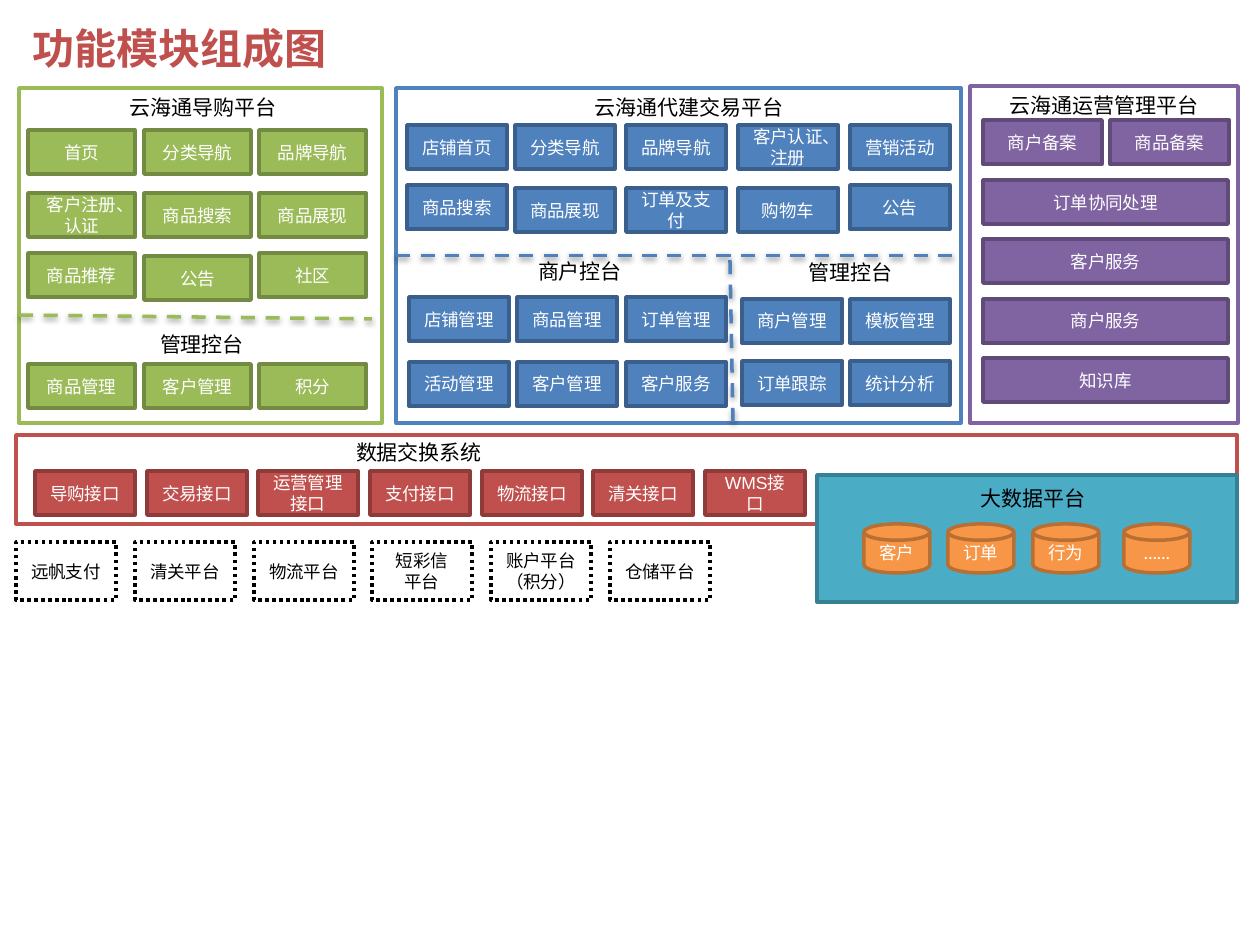
from dataclasses import dataclass
from typing import Optional

from lxml.etree import SubElement
from pptx import Presentation
from pptx.dml.color import RGBColor
from pptx.enum.dml import MSO_LINE_DASH_STYLE as Dash
from pptx.enum.shapes import MSO_CONNECTOR, MSO_SHAPE as Shape
from pptx.enum.text import MSO_ANCHOR, MSO_AUTO_SIZE, PP_ALIGN
from pptx.oxml.ns import qn
from pptx.util import Pt

EMU_PER_PX = 914400 / 126
TILE_H = 44


@dataclass(frozen=True)
class Style:
    fill: str
    line: str
    ink: str = "FFFFFF"
    font: str = "Arial"
    dash: Optional[Dash] = None


@dataclass(frozen=True)
class Theme:
    white: str = "FFFFFF"
    black: str = "000000"
    green: str = "9BBB59"
    blue: str = "4F81BD"
    red: str = "C0504D"
    purple: str = "8064A2"
    label_pt: int = 10
    heading_pt: int = 12
    title_pt: int = 24
    line_pt: int = 2


THEME = Theme()
GUIDE = Style(THEME.green, "738A42")
TRADE = Style(THEME.blue, "3A5F8C")
EXCHANGE = Style(THEME.red, "8E3B39")
OPERATION = Style(THEME.purple, "5F4A78")
BIG_DATA = Style("4BACC6", "377F92")
STORE = Style("F79646", "B76F34", font="Lato")
EXTERNAL = Style(THEME.white, THEME.black, ink=THEME.black, dash=Dash.ROUND_DOT)


@dataclass(frozen=True)
class Box:
    left: int
    top: int
    width: int
    height: int


@dataclass(frozen=True)
class Column:
    """Tiles stacked at one left edge, one label for each top."""
    style: Style
    left: int
    width: int
    tops: tuple[int, ...]
    labels: tuple[str, ...]


@dataclass(frozen=True)
class Row:
    """Tiles at equal steps from first to last left edge."""
    style: Style
    first: int
    last: int
    top: int
    width: int
    height: int
    labels: tuple[str, ...]
    shape: Shape = Shape.RECTANGLE


@dataclass(frozen=True)
class Divider:
    color: str
    start: tuple[int, int]
    end: tuple[int, int]


@dataclass(frozen=True)
class Heading:
    box: Box
    text: str


GUIDE_PANEL = Box(19, 88, 363, 335)
TRADE_PANEL = Box(396, 88, 565, 335)
OPERATION_PANEL = Box(970, 86, 268, 337)
EXCHANGE_PANEL = Box(16, 435, 1221, 89)
BIG_DATA_PANEL = Box(817, 475, 420, 127)

COLUMNS = (
    Column(GUIDE, 28, 107, (130, 193, 253, 364), ("首页", "客户注册、认证", "商品推荐", "商品管理")),
    Column(GUIDE, 144, 107, (130, 193, 256, 364), ("分类导航", "商品搜索", "公告", "客户管理")),
    Column(GUIDE, 259, 107, (130, 193, 253, 364), ("品牌导航", "商品展现", "社区", "积分")),
    Column(TRADE, 407, 100, (125, 185), ("店铺首页", "商品搜索")),
    Column(TRADE, 515, 100, (125, 188), ("分类导航", "商品展现")),
    Column(TRADE, 626, 100, (125, 188, 297, 362), ("品牌导航", "订单及支付", "订单管理", "客户服务")),
    Column(TRADE, 738, 100, (125, 188), ("客户认证、注册", "购物车")),
    Column(TRADE, 850, 100, (125, 185, 299, 361), ("营销活动", "公告", "模板管理", "统计分析")),
    Column(TRADE, 409, 100, (297, 362), ("店铺管理", "活动管理")),
    Column(TRADE, 517, 100, (297, 362), ("商品管理", "客户管理")),
    Column(TRADE, 742, 100, (299, 361), ("商户管理", "订单跟踪")),
    Column(OPERATION, 983, 245, (180, 239, 299, 358), ("订单协同处理", "客户服务", "商户服务", "知识库")),
)

ROWS = (
    Row(OPERATION, 983, 1110, 120, 119, TILE_H, ("商户备案", "商品备案")),
    Row(EXCHANGE, 35, 705, 471, 100, TILE_H,
        ("导购接口", "交易接口", "运营管理接口", "支付接口", "物流接口", "清关接口", "WMS接口")),
    Row(EXTERNAL, 16, 610, 542, 100, 58,
        ("远帆支付", "清关平台", "物流平台", "短彩信\n平台", "账户平台（积分）", "仓储平台")),
    Row(STORE, 864, 1033, 524, 66, 49, ("客户", "订单", "行为"), Shape.FLOWCHART_MAGNETIC_DISK),
    Row(STORE, 1124, 1124, 524, 66, 49, ("……",), Shape.FLOWCHART_MAGNETIC_DISK),
)

DIVIDERS = (
    Divider(THEME.blue, (730, 260), (733, 422)),
    Divider(THEME.green, (19, 315), (372, 319)),
)

HEADINGS = (
    Heading(Box(74, 88, 258, 38), "云海通导购平台"),
    Heading(Box(130, 325, 144, 38), "管理控台"),
    Heading(Box(560, 88, 258, 38), "云海通代建交易平台"),
    Heading(Box(508, 252, 144, 38), "商户控台"),
    Heading(Box(773, 253, 155, 38), "管理控台"),
    Heading(Box(990, 86, 228, 38), "云海通运营管理平台"),
    Heading(Box(290, 433, 258, 38), "数据交换系统"),
    Heading(Box(904, 479, 258, 38), "大数据平台"),
)


def px(length: float) -> int:
    return round(length * EMU_PER_PX)


def place(box: Box) -> tuple[int, ...]:
    return px(box.left), px(box.top), px(box.width), px(box.height)


def write(frame, text: str, size: int, color: str, font: str = "Arial",
          align: PP_ALIGN = PP_ALIGN.CENTER, bold: bool = False) -> None:
    frame.word_wrap = True
    frame.text = text
    for paragraph in frame.paragraphs:
        paragraph.alignment = align
        for run in paragraph.runs:
            run.font.size = Pt(size)
            run.font.name = font
            run.font.bold = bold
            run.font.color.rgb = RGBColor.from_string(color)


def draw_tile(slide, box: Box, style: Style, label: str = "", shape: Shape = Shape.RECTANGLE):
    tile = slide.shapes.add_shape(shape, *place(box))
    tile.shadow.inherit = False
    tile.fill.solid()
    tile.fill.fore_color.rgb = RGBColor.from_string(style.fill)
    tile.line.color.rgb = RGBColor.from_string(style.line)
    tile.line.width = Pt(THEME.line_pt)
    if style.dash:
        tile.line.dash_style = style.dash
    if label:
        tile.text_frame.vertical_anchor = MSO_ANCHOR.MIDDLE
        write(tile.text_frame, label, THEME.label_pt, style.ink, style.font)
    return tile


def draw_column(slide, column: Column) -> None:
    for top, label in zip(column.tops, column.labels):
        draw_tile(slide, Box(column.left, top, column.width, TILE_H), column.style, label)


def draw_row(slide, row: Row) -> None:
    step = (row.last - row.first) / max(len(row.labels) - 1, 1)
    for index, label in enumerate(row.labels):
        box = Box(round(row.first + index * step), row.top, row.width, row.height)
        draw_tile(slide, box, row.style, label, row.shape)


def draw_divider(slide, divider: Divider):
    """Dashed line with a soft shadow below it."""
    ends = [px(value) for value in divider.start + divider.end]
    line = slide.shapes.add_connector(MSO_CONNECTOR.STRAIGHT, *ends)
    line.line.color.rgb = RGBColor.from_string(divider.color)
    line.line.width = Pt(THEME.line_pt)
    line.line.dash_style = Dash.DASH
    effects = SubElement(line._element.spPr, qn("a:effectLst"))
    shadow = SubElement(effects, qn("a:outerShdw"), blurRad="40000", dist="20000",
                        dir="5400000", rotWithShape="0")
    color = SubElement(shadow, qn("a:srgbClr"), val=THEME.black)
    SubElement(color, qn("a:alpha"), val="38000")
    return line


def draw_heading(slide, heading: Heading) -> None:
    frame = slide.shapes.add_textbox(*place(heading.box)).text_frame
    write(frame, heading.text, THEME.heading_pt, THEME.black)
    frame.auto_size = MSO_AUTO_SIZE.SHAPE_TO_FIT_TEXT


def main() -> None:
    deck = Presentation()
    deck.slide_width, deck.slide_height = px(1260), px(945)
    slide = deck.slides.add_slide(deck.slide_layouts[6])

    title = slide.shapes.add_textbox(*place(Box(20, 16, 876, 59)))
    write(title.text_frame, "功能模块组成图", THEME.title_pt, THEME.red,
          align=PP_ALIGN.LEFT, bold=True)

    draw_tile(slide, GUIDE_PANEL, Style(THEME.white, THEME.green))
    trade = draw_tile(slide, TRADE_PANEL, Style(THEME.white, THEME.blue))
    draw_tile(slide, OPERATION_PANEL, Style(THEME.white, THEME.purple))
    draw_tile(slide, EXCHANGE_PANEL, Style(THEME.white, THEME.red))
    draw_tile(slide, BIG_DATA_PANEL, BIG_DATA)

    console_line = draw_divider(slide, Divider(THEME.blue, (396, 255), (961, 255)))
    console_line.begin_connect(trade, 1)
    console_line.end_connect(trade, 3)
    for divider in DIVIDERS:
        draw_divider(slide, divider)
    for column in COLUMNS:
        draw_column(slide, column)
    for row in ROWS:
        draw_row(slide, row)
    for heading in HEADINGS:
        draw_heading(slide, heading)

    deck.save("out.pptx")


if __name__ == "__main__":
    main()
